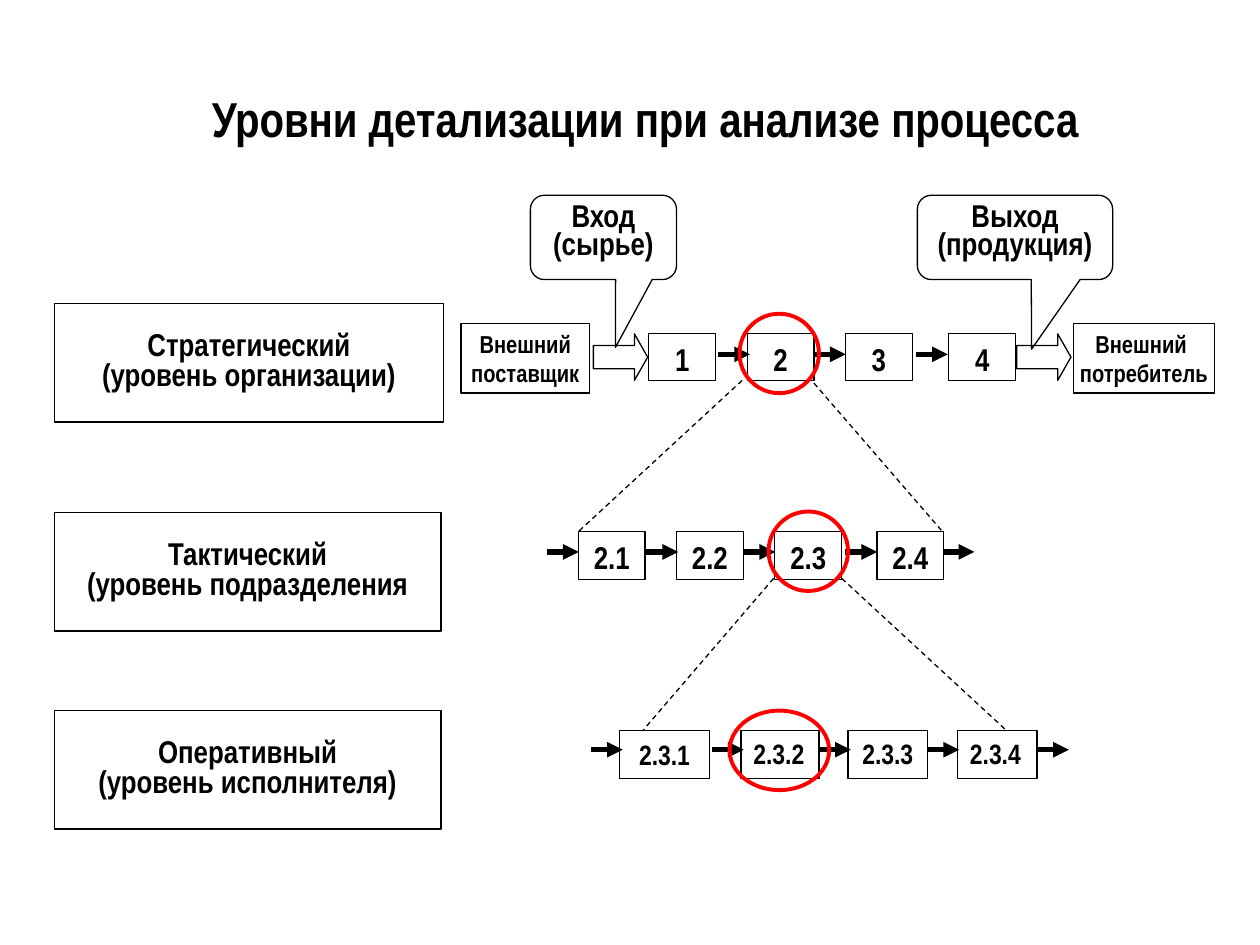
from lxml import etree
from pptx import Presentation
from pptx.dml.color import RGBColor
from pptx.enum.dml import MSO_LINE
from pptx.enum.shapes import MSO_CONNECTOR, MSO_SHAPE
from pptx.enum.text import MSO_ANCHOR, PP_ALIGN
from pptx.oxml.ns import qn
from pptx.util import Pt

RECT, OVAL = MSO_SHAPE.RECTANGLE, MSO_SHAPE.OVAL
BLOCK, CALL = MSO_SHAPE.RIGHT_ARROW, MSO_SHAPE.ROUNDED_RECTANGULAR_CALLOUT
MID, TOP = MSO_ANCHOR.MIDDLE, MSO_ANCHOR.TOP
MIDDLE, LEFT = PP_ALIGN.CENTER, PP_ALIGN.LEFT
STRAIGHT, DASH = MSO_CONNECTOR.STRAIGHT, MSO_LINE.DASH
COLORS = {"ink": "000000", "ring": "FF0000"}


class Page:
    """The style and the current slide."""

    def __init__(self, slide, font="Arial Narrow"):
        self.slide = slide
        self.font = font

    def color(self, name):
        return RGBColor.from_string(COLORS[name])

    def label(self, shape, lines, size, anchor=MID, align=MIDDLE, gap=None, wrap=True):
        frame = shape.text_frame
        frame.word_wrap = wrap
        frame.vertical_anchor = anchor
        for i, line in enumerate(lines):
            para = frame.add_paragraph() if i else frame.paragraphs[0]
            para.alignment = align
            if gap:
                para.line_spacing = Pt(gap)
            run = para.add_run()
            run.text = line
            run.font.name = self.font
            run.font.size = Pt(size)
            run.font.bold = True
            run.font.color.rgb = self.color("ink")

    def title(self, x, y, w, h, text):
        box = self.slide.shapes.add_textbox(Pt(x), Pt(y), Pt(w), Pt(h))
        self.label(box, [text], 28)

    def shape(self, kind, x, y, w, h, adjust=(), color="ink", width=0.75):
        shape = self.slide.shapes.add_shape(kind, Pt(x), Pt(y), Pt(w), Pt(h))
        shape.shadow.inherit = False
        shape.fill.background()
        shape.line.color.rgb = self.color(color)
        shape.line.width = Pt(width)
        for i, value in enumerate(adjust):
            shape.adjustments[i] = value
        return shape

    def box(self, x, y, w, h, lines, size, **style):
        self.label(self.shape(RECT, x, y, w, h), lines, size, **style)

    def callout(self, x, w, tip, lines):
        shape = self.shape(CALL, x, 111.6, w, 48.2, (*tip, 0.167))
        self.label(shape, lines, 18, anchor=TOP, gap=16)

    def ring(self, x, y, w):
        self.shape(OVAL, x, y, w, 45.4, color="ring", width=2.25)

    def line(self, x1, y1, x2, y2, width=0.75):
        line = self.slide.shapes.add_connector(STRAIGHT, Pt(x1), Pt(y1), Pt(x2), Pt(y2))
        line.line.color.rgb = self.color("ink")
        line.line.width = Pt(width)
        etree.SubElement(line.element.spPr, qn("a:effectLst"))
        return line

    def dash(self, *ends):
        self.line(*ends).line.dash_style = DASH

    def arrow(self, x, y):
        line = self.line(x, y, x + 18.2, y, 3)
        stroke = line.element.spPr.find(qn("a:ln"))
        etree.SubElement(stroke, qn("a:tailEnd"), type="triangle")


def main():
    prs = Presentation()
    prs.slide_width, prs.slide_height = Pt(720), Pt(540)
    page = Page(prs.slides.add_slide(prs.slide_layouts[6]))

    page.title(57.6, 41.8, 622, 51.1, "Уровни детализации при анализе процесса")

    # Supplier and consumer
    page.box(263.5, 185, 73.4, 39.6, ["Внешний", "поставщик"], 14, wrap=False)
    page.box(613.4, 185, 80.6, 39.6, ["Внешний ", "потребитель"], 14, wrap=False)

    # Levels on the left
    levels = [
        (173.5, 222.5, "Стратегический", "(уровень организации)"),
        (293, 221, "Тактический", "(уровень подразделения"),
        (406, 221, "Оперативный", "(уровень исполнителя)"),
    ]
    for y, w, *lines in levels:
        page.box(31, y, w, 67.7, lines, 18, gap=17, wrap=False)

    # Steps of the upper two rows: top, height, steps
    rows = [
        (190.8, 26.6, {"1": 370.8, "2": 427, "3": 483.1, "4": 542.2}),
        (303.8, 27.4, {"2.1": 330.5, "2.2": 386.6, "2.3": 442.8, "2.4": 501.1}),
    ]
    for y, h, steps in rows:
        for name, x in steps.items():
            page.box(x, y, 38.2, h, [name], 18, anchor=TOP)

    # Steps of the lower row
    tasks = [
        ("2.3.1", 354.2, 51.1, MID, MIDDLE),
        ("2.3.2", 423.4, 44.6, TOP, LEFT),
        ("2.3.3", 484.6, 45.4, TOP, MIDDLE),
        ("2.3.4", 547.2, 45.4, TOP, LEFT),
    ]
    for name, x, w, anchor, align in tasks:
        page.box(x, 417.6, w, 27.4, [name], 16, anchor=anchor, align=align)

    # Flow arrows by row
    flows = {
        202.5: [410.4, 465.1, 523.4],
        315.4: [312.5, 369.4, 424.8, 483.1, 538.6],
        428.4: [337.7, 406.8, 468, 529.9, 592.6],
    }
    for y, starts in flows.items():
        for x in starts:
            page.arrow(x, y)
    for x in (339.1, 581):
        page.shape(BLOCK, x, 190.8, 31, 26.6, (0.5, 0.284))

    # Dashed lines from a step to its details
    page.dash(424.1, 217.4, 330.5, 303.8)
    page.dash(465.1, 218.9, 538.6, 303.8)
    page.dash(442.1, 330.5, 367.2, 417.6)
    page.dash(481, 330.5, 575.3, 417.6)

    # Input and output callouts
    page.callout(303.1, 83.5, (0.082, 1.305), ["Вход", "(сырье)"])
    page.callout(524.2, 111.6, (0.085, 1.325), ["Выход", "(продукция)"])

    # Rings round the detailed steps
    page.ring(422.6, 179.3, 45.4)
    page.ring(439.2, 292.3, 45.4)
    page.ring(416.9, 406.1, 56.9)

    prs.save("out.pptx")


if __name__ == "__main__":
    main()
